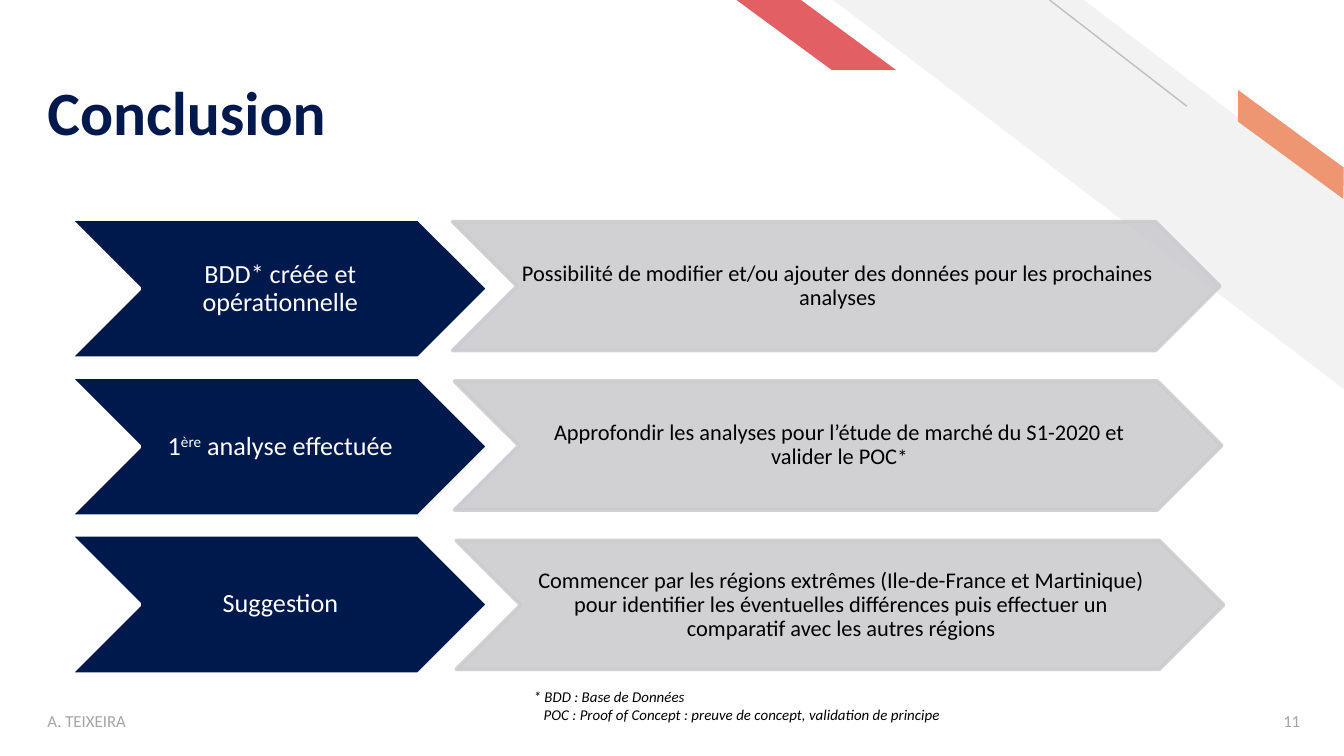
from dataclasses import dataclass
from lxml.etree import SubElement
from pptx import Presentation
from pptx.dml.color import RGBColor
from pptx.enum.shapes import MSO_CONNECTOR, MSO_SHAPE
from pptx.enum.text import MSO_ANCHOR, PP_ALIGN
from pptx.oxml.ns import qn
from pptx.util import Pt


@dataclass(frozen=True)
class Theme:
    """Colours, font and type sizes of the slide."""
    font: str = "Calibri"
    navy: str = "00194C"
    grey: str = "CCCCD0"
    band: str = "F2F2F2"
    rule: str = "BFBFBF"
    peach: str = "EE9571"
    red: str = "E26064"
    muted: str = "A5A5A5"
    white: str = "FFFFFF"
    black: str = "000000"
    title: float = 33
    label: float = 14
    body: float = 12
    star: float = 11
    foot: float = 9
    note: float = 8


THEME = Theme()
ROWS = [
    (["BDD* créée et opérationnelle"],
     ["Possibilité de modifier et/ou ajouter des données pour les prochaines analyses"]),
    (["1", ("ère", {"base": 30000}), " analyse effectuée"],
     ["Approfondir les analyses pour l’étude de marché du S1-2020 et valider le POC",
      ("*", {"size": THEME.star})]),
    (["Suggestion"],
     ["Commencer par les régions extrêmes (Ile-de-France et Martinique) pour identifier "
      "les éventuelles différences puis effectuer un comparatif avec les autres régions"]),
]
NOTES = [["* BDD : Base de Données"],
         ["POC : Proof of Concept : preuve de concept, validation de principe"]]


def add_text(slide, box, paras, size, color, bold=False, italic=False, align=PP_ALIGN.LEFT,
             anchor=MSO_ANCHOR.MIDDLE, inset=(5.4, 2.7, 5.4, 2.7), space=1, indents=()):
    """Add a text box holding paragraphs of plain or formatted runs."""
    frame = slide.shapes.add_textbox(*map(Pt, box)).text_frame
    frame.word_wrap = True
    frame.vertical_anchor = anchor
    (frame.margin_left, frame.margin_top,
     frame.margin_right, frame.margin_bottom) = map(Pt, inset)
    for i, runs in enumerate(paras):
        para = frame.paragraphs[0] if i == 0 else frame.add_paragraph()
        para.alignment, para.line_spacing = align, space
        if indents:
            para._p.get_or_add_pPr().set("marL", str(Pt(indents[i])))
        for item in runs:
            words, extra = (item, {}) if isinstance(item, str) else item
            run = para.add_run()
            run.text = words
            font = run.font
            font.name, font.size = THEME.font, Pt(extra.get("size", size))
            font.bold, font.italic = bold, italic
            font.color.rgb = RGBColor.from_string(color)
            if "base" in extra:
                run._r.get_or_add_rPr().set("baseline", str(extra["base"]))


def add_shape(slide, kind, box, fill, line=None, adjust=None, flip=False, turn=0, alpha=None):
    """Add a flat preset shape."""
    shape = slide.shapes.add_shape(kind, *map(Pt, box))
    shape.shadow.inherit = False
    shape.fill.solid()
    shape.fill.fore_color.rgb = RGBColor.from_string(fill)
    if line:
        shape.line.color.rgb = RGBColor.from_string(line)
        shape.line.width = Pt(2)
    else:
        shape.line.fill.background()
    if adjust is not None:
        shape.adjustments[0] = adjust
    shape.rotation = turn
    props = shape._element.spPr
    if flip:
        props.get_or_add_xfrm().set("flipH", "1")
    if alpha:
        for tint in props.iter(qn("a:srgbClr")):
            SubElement(tint, qn("a:alpha")).set("val", str(alpha * 1000))


def add_line(slide, start, end, color, width):
    """Add a straight line without shadow."""
    line = slide.shapes.add_connector(MSO_CONNECTOR.STRAIGHT, *map(Pt, start + end))
    line.line.color.rgb = RGBColor.from_string(color)
    line.line.width = Pt(width)
    SubElement(line._element.spPr, qn("a:effectLst"))


def add_step(slide, box, words, size, color, fill, line, alpha=None):
    """Add a chevron with its text between notch and tip."""
    left, top, width, height = box
    add_shape(slide, MSO_SHAPE.CHEVRON, box, fill, line, alpha=alpha)
    add_text(slide, (left + height / 2, top, width - height, height), [words], size, color,
             align=PP_ALIGN.CENTER, inset=(1.4, 0.7, 0, 0.7), space=0.9)


def add_decor(slide):
    """Add the slanted bands at the top right."""
    add_shape(slide, MSO_SHAPE.DIAGONAL_STRIPE, (446.4, 0, 274, 208.8), THEME.band,
              adjust=0.51, flip=True)
    add_line(slide, (635.8, 56.9), (562.3, 0), THEME.rule, 0.75)
    add_shape(slide, MSO_SHAPE.PARALLELOGRAM, (651.6, 70.6, 79.9, 13.7), THEME.peach,
              adjust=0.72, flip=True, turn=36.3)
    add_shape(slide, MSO_SHAPE.PARALLELOGRAM, (394.6, 0, 85.5, 37.5), THEME.red,
              adjust=1.36, flip=True)


def main():
    """Build and save the slide."""
    deck = Presentation()
    deck.slide_width, deck.slide_height = Pt(720), Pt(405)
    slide = deck.slides.add_slide(deck.slide_layouts[6])
    add_decor(slide)
    add_text(slide, (20, 12.2, 492, 67.7), [["Conclusion"]], THEME.title, THEME.navy,
             bold=True, anchor=MSO_ANCHOR.BOTTOM, inset=(5.4, 2.7, 5.4, 0), space=0.9)
    add_text(slide, (20, 375.4, 243, 21.6), [["A. TEIXEIRA"]], THEME.foot, THEME.muted)
    add_text(slide, (658, 375.4, 44, 21.6), [["11"]], THEME.foot, THEME.muted,
             align=PP_ALIGN.RIGHT)
    for i, (label, body) in enumerate(ROWS):
        add_step(slide, (37.5, 117.3 + 84.6 * i, 224, 74.7), label, THEME.label,
                 THEME.white, THEME.navy, THEME.white)
        add_step(slide, (242.5 + i, 118.8 + 85.4 * i, 411, 69), body, THEME.body,
                 THEME.black, THEME.grey, THEME.grey, alpha=90)
    add_text(slide, (278.8, 365, 236, 26.6), NOTES, THEME.note, THEME.black, italic=True,
             anchor=MSO_ANCHOR.TOP, inset=(7.2, 3.6, 7.2, 3.6), indents=(0, 5.4))
    deck.save("out.pptx")


if __name__ == "__main__":
    main()
